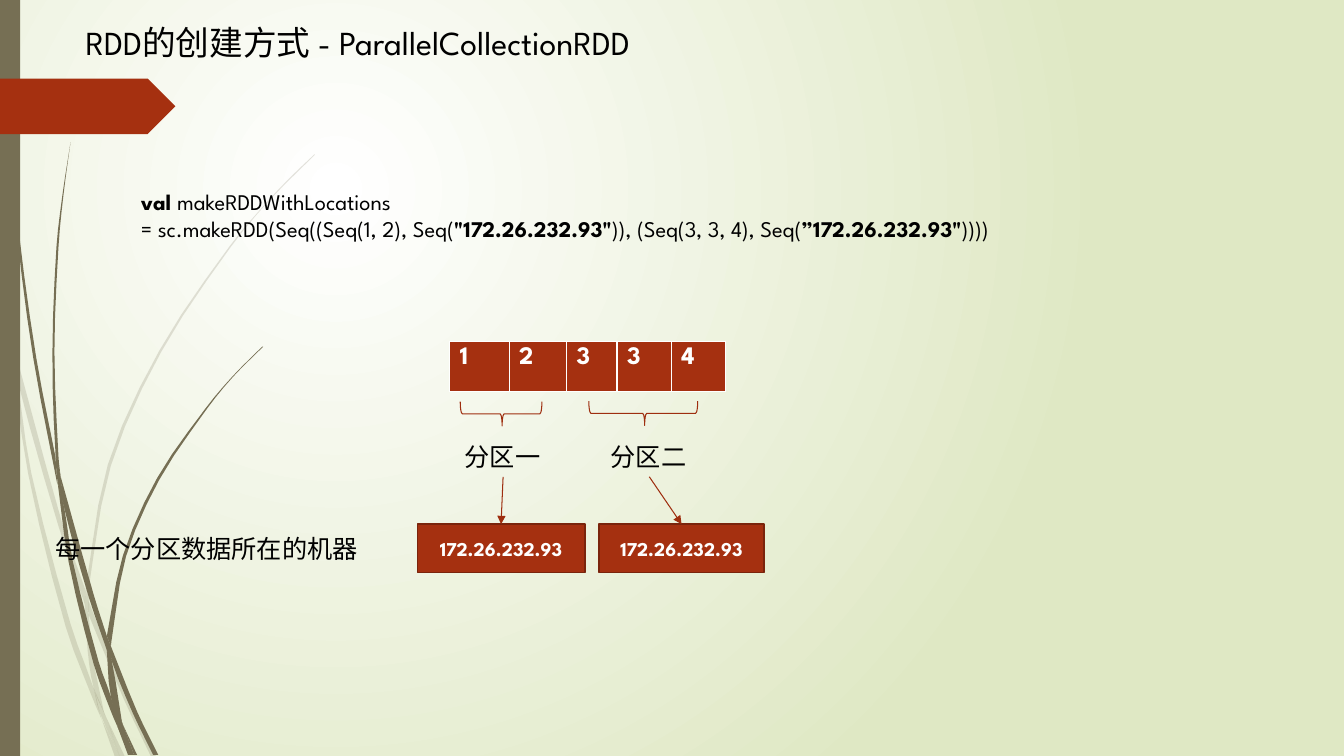
from math import dist

from pptx import Presentation
from pptx.dml.color import RGBColor
from pptx.enum.shapes import MSO_CONNECTOR as Link, MSO_SHAPE as Preset
from pptx.enum.text import MSO_ANCHOR as Anchor, MSO_AUTO_SIZE as AutoSize, PP_ALIGN as Align
from pptx.oxml.ns import qn
from pptx.oxml.xmlchemy import OxmlElement
from pptx.util import Inches, Pt

FONT = "League Spartan"
BLACK, WHITE, PALE = "000000", "FFFFFF", "DFE8C4"
RUST, RUST_LINE, RUST_EDGE, OLIVE = "A53010", "9E2E0F", "7A240C", "766F54"
MACHINE = "172.26.232.93"

# Each blade of grass is one edge and then the other edge, back to the start.
FAINT_BLADES = [
    ([(0.11, 3.5), (0.09, 3.22), (0, 2.82)], [(0, 2.99), (0.1, 3.44), (0.11, 3.5)]),
    ([(0.84, 5.99), (0.58, 5.22), (0.17, 3.76), (0.14, 3.45)], [(0.14, 3.45), (0.62, 5.2), (0.85, 5.86)]),
    ([(0.88, 5.96), (0.92, 6.07), (1.27, 6.92), (1.55, 7.51)], [(1.5, 7.51), (1.23, 6.94), (0.88, 6.1)]),
    ([(1.05, 7.11), (1.24, 7.51)], [(1.19, 7.51), (1.05, 7.11)]),
    ([(0.11, 3.5), (0.28, 4.7), (0.65, 6.21), (0.92, 6.93), (1.01, 7.14)],
     [(0.99, 7.07), (0.93, 6.83), (0.7, 6.19), (0.31, 4.69), (0.17, 3.76), (0.11, 3.5)]),
    ([(0.84, 5.99), (0.87, 6.46), (0.93, 6.83), (1.05, 7.11)],
     [(1.03, 7.06), (0.91, 6.46), (0.88, 6.1), (0.84, 5.99)]),
    ([(3.12, 1.53), (2.89, 1.75), (2.68, 1.97), (2.28, 2.44), (1.58, 3.48), (1.07, 4.61), (0.85, 5.84)],
     [(0.88, 5.96), (0.88, 5.84), (1.1, 4.62), (1.6, 3.49), (2.29, 2.45), (2.68, 1.98), (3.12, 1.54)]),
    ([(1.01, 7.14), (1.14, 7.51)], [(1.19, 7.51), (1.01, 7.14)]),
    ([(0.88, 6.1), (0.88, 5.96), (0.85, 5.86)], [(0.84, 5.99), (0.88, 6.08)]),
    ([(0.93, 6.83), (0.99, 7.07), (1.19, 7.51)], [(1.19, 7.51), (1.05, 7.11), (0.93, 6.83)]),
]
DARK_BLADES = [
    ([(0.03, 0), (0.04, 0.48), (0.07, 1.1), (0.17, 2.33), (0.33, 3.55), (0.57, 4.81)],
     [(0.55, 4.53), (0.36, 3.55), (0.19, 2.32), (0.08, 1.09), (0.05, 0.48), (0.04, 0)]),
    ([(0.6, 4.72), (0.64, 5.05), (0.88, 5.92), (1.06, 6.45)], [(1.06, 6.31), (0.93, 5.9), (0.6, 4.72)]),
    ([(1.1, 6.41), (1.11, 6.56), (1.32, 7.08), (1.52, 7.49)], [(1.57, 7.49), (1.36, 7.06), (1.1, 6.41)]),
    ([(0.57, 4.77), (0.68, 5.57), (0.93, 6.59), (1.11, 7.08), (1.17, 7.22)],
     [(1.16, 7.17), (1.1, 6.91), (0.98, 6.57), (0.72, 5.56), (0.64, 5.05), (0.57, 4.77)]),
    ([(0.7, 1.41), (0.62, 1.93), (0.56, 2.45), (0.52, 3.49), (0.55, 4.49), (0.6, 4.72)],
     [(0.6, 4.72), (0.58, 4.53), (0.54, 3.49), (0.58, 2.45), (0.63, 1.93), (0.7, 1.41)]),
    ([(1.22, 7.19), (1.33, 7.49)], [(1.36, 7.49), (1.22, 7.19)]),
    ([(0.55, 4.49), (0.57, 4.77), (0.64, 5.05)], [(0.6, 4.72), (0.55, 4.49)]),
    ([(2.6, 3.44), (2.31, 3.73), (2.04, 4.05), (1.56, 4.74), (1.22, 5.51), (1.06, 6.31)],
     [(1.1, 6.41), (1.11, 6.33), (1.25, 5.52), (1.58, 4.76), (2.05, 4.06), (2.31, 3.74), (2.61, 3.44)]),
    ([(1.17, 7.22), (1.27, 7.49)], [(1.31, 7.49), (1.17, 7.22)]),
    ([(1.06, 6.45), (1.1, 6.91), (1.22, 7.19)], [(1.21, 7.16), (1.11, 6.56), (1.06, 6.45)]),
    ([(1.06, 6.31), (1.06, 6.45), (1.11, 6.56)], [(1.1, 6.41), (1.06, 6.31)]),
    ([(1.1, 6.91), (1.17, 7.22), (1.3, 7.49)], [(1.33, 7.49), (1.22, 7.19), (1.1, 6.91)]),
]


def color(value):
    return RGBColor.from_string(value)


def add_element(parent, tag, **attributes):
    element = OxmlElement(tag)
    for name, value in attributes.items():
        element.set(name, str(value))
    parent.append(element)
    return element


def smooth(knots, steps=3):
    """Return points on a smooth curve through the knots."""
    slopes = []
    for i in range(len(knots)):
        before, after = knots[max(i - 1, 0)], knots[min(i + 1, len(knots) - 1)]
        length = dist(before, knots[i]) + dist(knots[i], after)
        slopes.append([(b - a) / length for a, b in zip(before, after)])
    points = [knots[0]]
    for start, end, leave, arrive in zip(knots, knots[1:], slopes, slopes[1:]):
        span = dist(start, end)
        for step in range(1, steps + 1):
            t = step / steps
            points.append(tuple(
                (2 * t**3 - 3 * t**2 + 1) * p + (t**3 - 2 * t**2 + t) * span * u
                + (3 * t**2 - 2 * t**3) * q + (t**3 - t**2) * span * v
                for p, q, u, v in zip(start, end, leave, arrive)))
    return points


def write(para, text, size=18, ink=BLACK, bold=False, align=None):
    para.alignment = align
    span = para.add_run()
    span.text = text
    span.font.name = FONT
    span.font.size = Pt(size)
    span.font.bold = bold
    span.font.color.rgb = color(ink)


class SlidePainter:
    def __init__(self, deck):
        self.slide = deck.slides.add_slide(deck.slide_layouts[5])
        self.shapes = self.slide.shapes

    def background(self, inner, outer):
        """Fill the slide with a round gradient centred in its upper left."""
        fill = self.slide.background.fill
        fill.gradient()
        for stop, position, value in zip(fill.gradient_stops, (0, 1), (inner, outer)):
            stop.position = position
            stop.color.rgb = color(value)
        gradient = next(self.slide.element.iter(qn("a:gradFill")))
        gradient.remove(gradient.find(qn("a:lin")))
        circle = add_element(gradient, "a:path", path="circle")
        add_element(circle, "a:fillToRect", l=50000, t=50000, r=100000, b=100000)

    def paint(self, shape, fill=None, line=None, width=0.75):
        shape.shadow.inherit = False
        if fill:
            shape.fill.solid()
            shape.fill.fore_color.rgb = color(fill)
        else:
            shape.fill.background()
        if line:
            shape.line.color.rgb = color(line)
            shape.line.width = Pt(width)
        else:
            shape.line.fill.background()
        return shape

    def shape(self, preset, place, **style):
        return self.paint(self.shapes.add_shape(preset, *map(Inches, place)), **style)

    def blade(self, edge, back, opacity):
        points = [(Inches(x), Inches(y)) for x, y in smooth(edge) + smooth(back)]
        builder = self.shapes.build_freeform(*points[0])
        builder.add_line_segments(points[1:])
        shape = self.paint(builder.convert_to_shape(), fill=OLIVE)
        if opacity < 100:
            fill_color = shape.element.spPr.find(qn("a:solidFill"))[0]
            add_element(fill_color, "a:alpha", val=opacity * 1000)

    def title(self, text, place):
        box = self.shapes.title
        box.left, box.top, box.width, box.height = map(Inches, place)
        frame = box.text_frame
        frame.word_wrap = False
        frame.auto_size = AutoSize.NONE
        frame.vertical_anchor = Anchor.TOP
        write(frame.paragraphs[0], text, size=24, align=Align.LEFT)

    def label(self, lines, place, size=18):
        """Add a text box; each line is a list of (text, bold) pairs."""
        box = self.shapes.add_textbox(*map(Inches, place))
        frame = box.text_frame
        frame.word_wrap = False
        frame.auto_size = AutoSize.SHAPE_TO_FIT_TEXT
        for i, line in enumerate(lines):
            para = frame.add_paragraph() if i else frame.paragraphs[0]
            for text, bold in line:
                write(para, text, size=size, bold=bold)
        return box

    def machine(self, text, place):
        box = self.shape(Preset.RECTANGLE, place, fill=RUST, line=RUST_EDGE, width=1.25)
        box.text_frame.vertical_anchor = Anchor.MIDDLE
        write(box.text_frame.paragraphs[0], text, size=14, ink=WHITE, bold=True, align=Align.CENTER)
        return box

    def brace(self, place):
        brace = self.shape(Preset.LEFT_BRACE, place, line=RUST_LINE)
        brace.adjustments[0], brace.adjustments[1] = 0.083, 0.513
        brace.rotation = 270

    def arrow(self, upper, lower):
        """Join the bottom of one box to the top of another."""
        arrow = self.shapes.add_connector(Link.STRAIGHT, 0, 0, 0, 0)
        arrow.begin_connect(upper, 2)
        arrow.end_connect(lower, 0)
        arrow.line.color.rgb = color(RUST_LINE)
        arrow.line.width = Pt(0.75)
        add_element(arrow.line._get_or_add_ln(), "a:tailEnd", type="triangle")
        add_element(arrow.element.spPr, "a:effectLst")

    def number_row(self, numbers, widths, place):
        table = self.shapes.add_table(1, len(numbers), *map(Inches, place)).table
        table.first_row = table.horz_banding = False
        for column, width, cell, number in zip(table.columns, widths, table.iter_cells(), numbers):
            column.width = Inches(width)
            for side in "LRTB":
                border = add_element(cell._tc.get_or_add_tcPr(), f"a:ln{side}", w=Pt(1))
                add_element(add_element(border, "a:solidFill"), "a:srgbClr", val=WHITE)
            cell.fill.solid()
            cell.fill.fore_color.rgb = color(RUST)
            write(cell.text_frame.paragraphs[0], number, ink=WHITE, bold=True)


def main():
    deck = Presentation()
    deck.slide_width, deck.slide_height = Inches(13.33), Inches(7.5)
    page = SlidePainter(deck)
    page.background(WHITE, PALE)
    for blades, opacity in ((FAINT_BLADES, 20), (DARK_BLADES, 100)):
        for edge, back in blades:
            page.blade(edge, back, opacity)
    page.shape(Preset.RECTANGLE, (0, 0, 0.2, 7.5), fill=OLIVE)
    page.shape(Preset.PENTAGON, (0, 0.78, 1.74, 0.55), fill=RUST)

    page.title("RDD的创建方式 - ParallelCollectionRDD", (0.75, 0.17, 6.45, 0.5))
    page.label([
        [("val ", True), ("makeRDDWithLocations", False)],
        [("= sc.makeRDD(Seq((Seq(1, 2), Seq(", False), (f'"{MACHINE}"', True),
         (")), (Seq(3, 3, 4), Seq(", False), (f'”{MACHINE}"', True), ("))))", False)],
    ], (1.3, 1.82, 10.03, 0.64), size=16)
    page.number_row("12334", (0.59, 0.57, 0.5, 0.54, 0.54), (4.46, 3.39, 2.74, 0.49))

    partitions = [
        ("分区一", 4.51, (4.85, 3.7, 0.24, 0.81), (4.14, 5.2, 1.66, 0.48)),
        ("分区二", 5.96, (6.26, 3.56, 0.24, 1.08), (5.94, 5.2, 1.64, 0.48)),
    ]
    for name, left, brace_place, machine_place in partitions:
        page.brace(brace_place)
        label = page.label([[(name, False)]], (left, 4.33, 0.96, 0.4))
        page.arrow(label, page.machine(MACHINE, machine_place))
    page.label([[("每一个分区数据所在的机器", False)]], (0.45, 5.24, 3.23, 0.4))
    deck.save("out.pptx")


if __name__ == "__main__":
    main()
